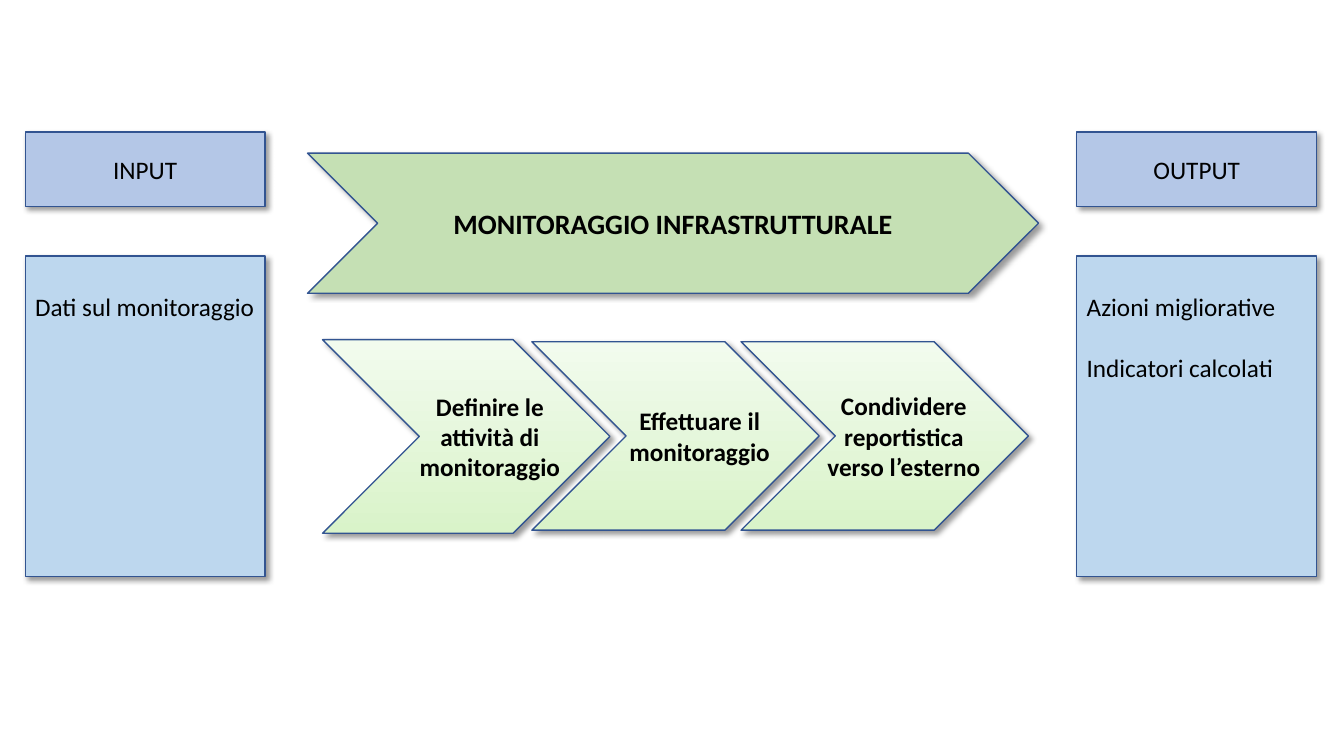
import pptx
import pptx.util
import pptx.dml.color
import pptx.enum.shapes
import pptx.enum.text
import pptx.oxml
import pptx.oxml.ns

SHAPE = pptx.enum.shapes.MSO_SHAPE
ANCHOR = pptx.enum.text.MSO_ANCHOR
ALIGN = pptx.enum.text.PP_ALIGN
Pt = pptx.util.Pt
Inches = pptx.util.Inches

SLIDE_WIDTH, SLIDE_HEIGHT = 13.33, 7.5
FONT = "Calibri"
COLORS = {
    "text": "000000",
    "outline": "325491",
    "header": "B4C7E7",
    "panel": "BDD7EE",
    "banner": "C5E0B4",
    "step_bottom": "D9F3C9",
    "step_top": "F2FBEE",
}

# Left edges and width of the side columns, in percent of the slide width
SIDES = [
    (1.88, "INPUT", ["Dati sul monitoraggio"]),
    (80.12, "OUTPUT", ["Azioni migliorative", "Indicatori calcolati"]),
]
SIDE_WIDTH = 17.85

# Step lines, top and height in percent, and left inset in inches
STEPS = [
    (["Definire le", "attività di", "monitoraggio"], 44.93, 25.6, 0.47),
    (["Effettuare il", "monitoraggio"], 45.2, 24.93, 0.48),
    (["Condividere", "reportistica", "verso l’esterno"], 45.2, 24.93, 0.38),
]
STEP_LEFT, STEP_PITCH, STEP_WIDTH = 24, 15.57, 21.38


def color(name):
    return pptx.dml.color.RGBColor.from_string(COLORS[name])


def add_shadow(shape):
    """Soft shadow towards the lower right."""
    shape.shadow.inherit = False
    effects = shape._element.spPr.find(pptx.oxml.ns.qn("a:effectLst"))
    effects.append(pptx.oxml.parse_xml(
        f'<a:outerShdw {pptx.oxml.ns.nsdecls("a")} blurRad="{Pt(4)}" '
        f'dist="{Pt(3)}" dir="2700000" algn="tl" rotWithShape="0">'
        f'<a:srgbClr val="{COLORS["text"]}"><a:alpha val="40000"/></a:srgbClr>'
        '</a:outerShdw>'))


def add_block(page, kind, left, top, width, height, fill):
    """Outlined, shadowed shape placed in percent of the slide's size."""
    block = page.shapes.add_shape(
        kind,
        Inches(SLIDE_WIDTH * left / 100), Inches(SLIDE_HEIGHT * top / 100),
        Inches(SLIDE_WIDTH * width / 100), Inches(SLIDE_HEIGHT * height / 100))
    if fill == "step":
        block.fill.gradient()
        block.fill.gradient_angle = 90
        for stop, name in zip(block.fill.gradient_stops,
                              ("step_bottom", "step_top")):
            stop.color.rgb = color(name)
    else:
        block.fill.solid()
        block.fill.fore_color.rgb = color(fill)
    block.line.color.rgb = color("outline")
    block.line.width = Pt(1)
    add_shadow(block)
    return block


def write(block, lines, size=18, bold=False, align=ALIGN.CENTER,
          anchor=ANCHOR.MIDDLE, gap=0):
    """One paragraph per line, with a gap in points between them."""
    frame = block.text_frame
    frame.word_wrap = True
    frame.vertical_anchor = anchor
    for index, line in enumerate(lines):
        para = frame.add_paragraph() if index else frame.paragraphs[0]
        para.text = line
        para.alignment = align
        para.space_before = Pt(gap if index else 0)
        para.font.name = FONT
        para.font.size = Pt(size)
        para.font.bold = bold
        para.font.color.rgb = color("text")


def add_side(page, left, heading, items):
    header = add_block(page, SHAPE.RECTANGLE, left, 17.47, SIDE_WIDTH, 9.87,
                       "header")
    write(header, [heading])
    panel = add_block(page, SHAPE.RECTANGLE, left, 33.87, SIDE_WIDTH, 42.4,
                      "panel")
    write(panel, items, align=ALIGN.LEFT, anchor=ANCHOR.TOP, gap=22)
    panel.text_frame.margin_top = Inches(0.35)


def add_step(page, index, lines, top, height, inset):
    step = add_block(page, SHAPE.CHEVRON, STEP_LEFT + index * STEP_PITCH, top,
                     STEP_WIDTH, height, "step")
    write(step, lines, bold=True)
    step.text_frame.word_wrap = False
    step.text_frame.margin_left = Inches(inset)
    step.text_frame.margin_right = 0


def main():
    deck = pptx.Presentation()
    deck.slide_width = Inches(SLIDE_WIDTH)
    deck.slide_height = Inches(SLIDE_HEIGHT)
    page = deck.slides.add_slide(deck.slide_layouts.get_by_name("Blank"))

    # Input and output columns
    for side in SIDES:
        add_side(page, *side)

    # Process banner
    banner = add_block(page, SHAPE.CHEVRON, 22.88, 20.27, 54.39, 18.53,
                       "banner")
    write(banner, ["MONITORAGGIO INFRASTRUTTURALE"], size=20, bold=True)

    # Process steps
    for index, step in enumerate(STEPS):
        add_step(page, index, *step)

    deck.save("out.pptx")


main()
